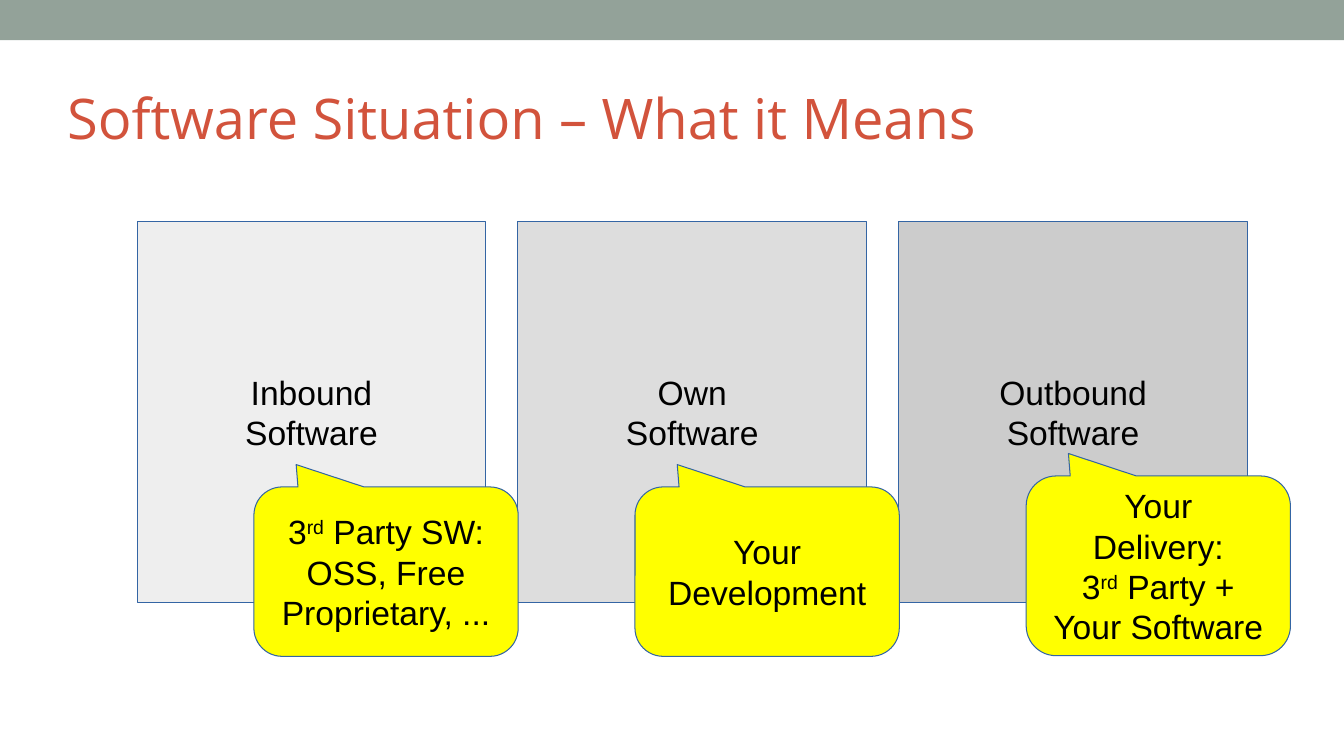
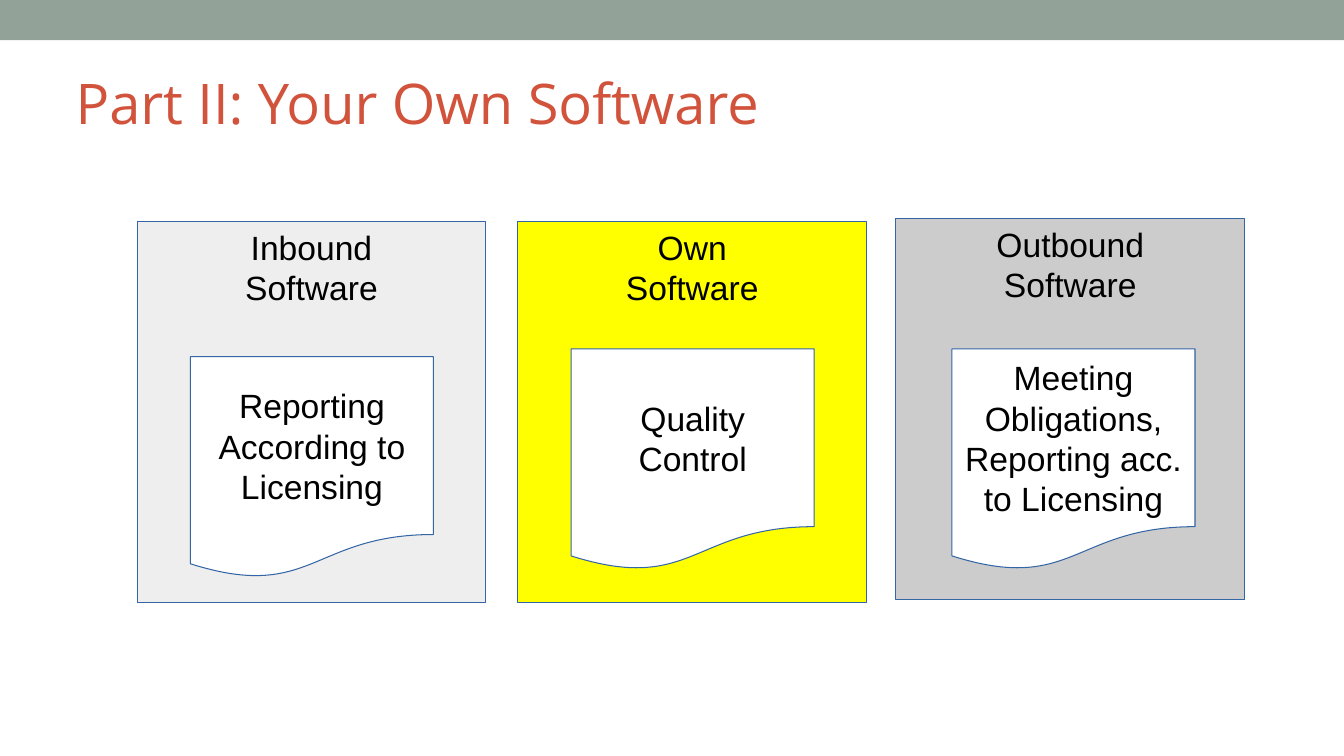
import pptx
import pptx.dml.color
import pptx.enum.shapes
import pptx.enum.text
import pptx.util

Pt = pptx.util.Pt
SHAPE = pptx.enum.shapes.MSO_SHAPE
ANCHOR = pptx.enum.text.MSO_ANCHOR
ALIGN = pptx.enum.text.PP_ALIGN

SAGE = "93A299"
RED = "D2533C"
BLUE = "3465A4"
YELLOW = "FFFF00"
WHITE = "FFFFFF"
BLACK = "000000"
GREYS = ["EEEEEE", "DDDDDD", "CCCCCC"]

STAGES = ["Inbound\nSoftware", "Own\nSoftware", "Outbound\nSoftware"]
STAGE_LEFT, STAGE_TOP, STAGE_STEP = 98, 158.4, 272
STAGE_SIZE = (249, 272)


def rgb(value):
    return pptx.dml.color.RGBColor.from_string(value)


def style_run(r, font, size, color):
    r.font.name = font
    r.font.size = Pt(size)
    r.font.color.rgb = rgb(color)


def add_box(slide, kind, left, top, width, height, fill, line=None):
    sp = slide.shapes.add_shape(kind, Pt(left), Pt(top), Pt(width), Pt(height))
    sp.shadow.inherit = False
    sp.fill.solid()
    sp.fill.fore_color.rgb = rgb(fill)
    if line:
        sp.line.color.rgb = rgb(line)
        sp.line.width = Pt(0.75)
    else:
        sp.line.fill.background()
    return sp


def split_superscripts(p):
    parts = p.text.split("^")
    p.text = parts[0]
    for i, part in enumerate(parts[1:], 1):
        r = p.add_run()
        r.text = part
        if i % 2:
            r.font._element.set("baseline", "30000")


def set_text(sp, text, anchor=ANCHOR.MIDDLE):
    tf = sp.text_frame
    tf.word_wrap = True
    tf.vertical_anchor = anchor
    tf.text = text
    for p in tf.paragraphs:
        p.alignment = ALIGN.CENTER
        split_superscripts(p)
        for r in p.runs:
            style_run(r, "Arial", 24, BLACK)


def add_labelled(slide, kind, box, fill, text, anchor=ANCHOR.MIDDLE):
    sp = add_box(slide, kind, *box, fill, BLUE)
    set_text(sp, text, anchor)
    return sp


def add_callout(slide, box, tip, text):
    sp = add_labelled(slide, SHAPE.ROUNDED_RECTANGULAR_CALLOUT, box, YELLOW, text)
    sp.adjustments[0], sp.adjustments[1] = tip


def add_stages(slide, fills, anchor, last_shift=(0, 0)):
    for i, (text, fill) in enumerate(zip(STAGES, fills)):
        dx, dy = last_shift if i == len(STAGES) - 1 else (0, 0)
        box = (STAGE_LEFT + i * STAGE_STEP + dx, STAGE_TOP + dy, *STAGE_SIZE)
        add_labelled(slide, SHAPE.RECTANGLE, box, fill, text, anchor)


def add_slide(prs, title, left, top):
    slide = prs.slides.add_slide(prs.slide_layouts.get_by_name("Title Only"))
    sp = slide.shapes.title
    sp.left, sp.top, sp.width, sp.height = Pt(left), Pt(top), Pt(864), Pt(82.8)
    tf = sp.text_frame
    tf.text = title
    tf.word_wrap = True
    tf.auto_size = pptx.enum.text.MSO_AUTO_SIZE.NONE
    tf.vertical_anchor = ANCHOR.BOTTOM
    tf.margin_left = tf.margin_right = tf.margin_top = tf.margin_bottom = 0
    p = tf.paragraphs[0]
    p.alignment = ALIGN.LEFT
    style_run(p.runs[0], "Open Sans", 40, RED)
    return slide


def move_band_to_master(prs, slide):
    band = add_box(slide, SHAPE.RECTANGLE, 0, 0, 960, 28.8, SAGE)
    prs.slide_master.shapes.element.insert(2, band.element)


def build_situation(prs):
    slide = add_slide(prs, "Software Situation – What it Means", 48, 25.2)
    move_band_to_master(prs, slide)
    add_stages(slide, GREYS, ANCHOR.MIDDLE)
    callouts = [
        (181.4, 347.8, 121, -0.632, "3^rd^ Party SW:\nOSS, Free\nProprietary, ..."),
        (453.6, 347.8, 121, -0.632, "Your\nDevelopment"),
        (733, 340, 128.4, -0.625, "Your\nDelivery:\n3^rd^ Party +\nYour Software"),
    ]
    for left, top, height, tip_y, text in callouts:
        add_callout(slide, (left, top, 188.8, height), (-0.34, tip_y), text)


def build_own_software(prs):
    slide = add_slide(prs, "Part II: Your Own Software", 54, 14.4)
    add_stages(slide, [GREYS[0], YELLOW, GREYS[2]], ANCHOR.TOP, (-2, -2))
    documents = [
        (254.8, "Reporting\nAccording to\nLicensing"),
        (249.2, "Quality\nControl"),
        (249.2, "Meeting\nObligations,\nReporting acc.\nto Licensing"),
    ]
    for i, (top, text) in enumerate(documents):
        box = (136 + i * STAGE_STEP, top, 173.6, 158.4)
        add_labelled(slide, SHAPE.FLOWCHART_DOCUMENT, box, WHITE, text)


def main():
    prs = pptx.Presentation()
    prs.slide_width, prs.slide_height = Pt(960), Pt(540)
    build_situation(prs)
    build_own_software(prs)
    prs.save("out.pptx")


if __name__ == "__main__":
    main()
